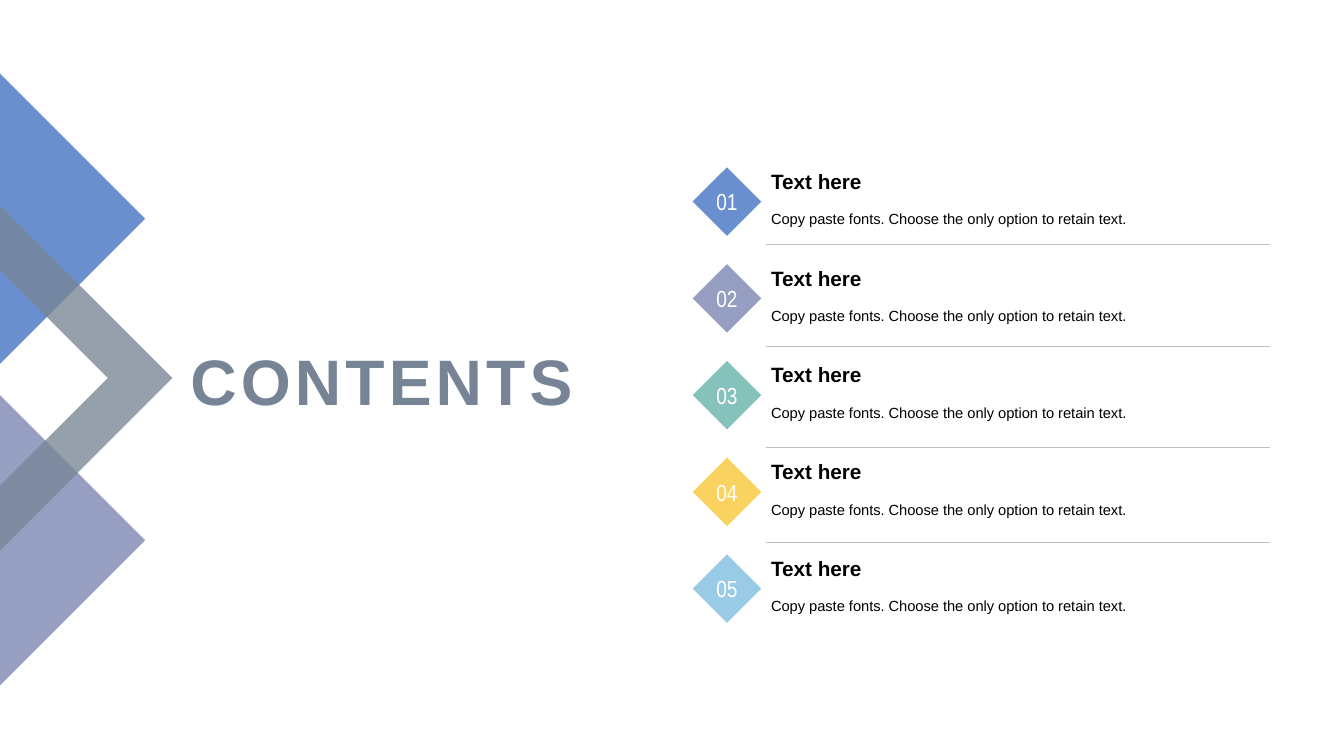
from lxml import etree
from pptx import Presentation
from pptx.dml.color import RGBColor
from pptx.enum.shapes import MSO_CONNECTOR, MSO_SHAPE
from pptx.enum.text import MSO_ANCHOR as ANCHOR, PP_ALIGN as ALIGN
from pptx.oxml.ns import qn
from pptx.util import Inches, Pt

BLUE = RGBColor(0x69, 0x8F, 0xCE)
PURPLE = RGBColor(0x96, 0x9E, 0xC2)
TEAL = RGBColor(0x85, 0xC2, 0xBC)
YELLOW = RGBColor(0xFA, 0xD2, 0x5F)
SKY = RGBColor(0x99, 0xCA, 0xE6)
SLATE = RGBColor(0x77, 0x84, 0x95)
RULE = RGBColor(0xBF, 0xBF, 0xBF)
BLACK = RGBColor(0, 0, 0)
WHITE = RGBColor(0xFF, 0xFF, 0xFF)

prs = Presentation()
prs.slide_width, prs.slide_height = Inches(13.33), Inches(7.5)
s = prs.slides.add_slide(prs.slide_layouts[6])


def paint(sp, color):
    sp.fill.solid()
    sp.fill.fore_color.rgb = color
    sp.line.fill.background()
    sp.shadow.inherit = False


def write(sp, text, size, color, font="Arial", bold=False,
          align=ALIGN.LEFT, anchor=ANCHOR.MIDDLE, wrap=True):
    tf = sp.text_frame
    tf.word_wrap = wrap
    tf.vertical_anchor = anchor
    p = tf.paragraphs[0]
    p.alignment = align
    r = p.add_run()
    r.text = text
    r.font.size, r.font.name, r.font.bold = Pt(size), font, bold
    r.font.color.rgb = color
    return p, r


# Triangles and chevron at the left edge
decorations = [
    (PURPLE, [(0, 6.8), (0, 3.92), (1.44, 5.36)]),
    (BLUE, [(0, 0.73), (1.44, 2.17), (0, 3.61)]),
    (SLATE, [(1.71, 3.75), (0, 5.46), (0, 4.82),
             (1.07, 3.75), (0, 2.68), (0, 2.04)]),
]
for color, points in decorations:
    start, *rest = [(Inches(x), Inches(y)) for x, y in points]
    builder = s.shapes.build_freeform(*start)
    builder.add_line_segments(rest, close=True)
    sp = builder.convert_to_shape()
    paint(sp, color)

# The chevron, drawn last, is see-through
chevron_color = sp.fill._xPr.find(qn("a:solidFill"))[0]
etree.SubElement(chevron_color, qn("a:alpha")).set("val", "77000")

# Heading
heading = s.shapes.add_textbox(Inches(1.69), Inches(3.26), Inches(4.09), Inches(1.01))
p, r = write(heading, "CONTENTS", 45.9, SLATE, bold=True, align=ALIGN.RIGHT)
r.font._element.set("spc", "300")

# Numbered entries
for i, color in enumerate([BLUE, PURPLE, TEAL, YELLOW, SKY]):
    top = 1.66 + 0.96 * i
    diamond = s.shapes.add_shape(MSO_SHAPE.DIAMOND, Inches(6.87), Inches(top),
                                 Inches(0.68), Inches(0.68))
    paint(diamond, color)
    write(diamond, f"{i + 1:02}", 16.6, WHITE, font="Arial Narrow",
          align=ALIGN.CENTER, wrap=False)

    title = s.shapes.add_textbox(Inches(7.55), Inches(top - 0.02),
                                 Inches(4.33), Inches(0.33))
    write(title, "Text here", 14.8, BLACK, bold=True, anchor=ANCHOR.BOTTOM)

    body = s.shapes.add_textbox(Inches(7.55), Inches(top + 0.32),
                                Inches(4.33), Inches(0.35))
    p, r = write(body, "Copy paste fonts. Choose the only option to retain text.",
                 10.5, BLACK)
    p.line_spacing = 1.2

# Dividing lines
for y in (2.42, 3.43, 4.44, 5.38):
    divider = s.shapes.add_connector(MSO_CONNECTOR.STRAIGHT, Inches(7.6), Inches(y),
                                     Inches(12.6), Inches(y))
    divider.line.color.rgb = RULE
    divider.line.width = Pt(0.25)
    etree.SubElement(divider._element.spPr, qn("a:effectLst"))

prs.save("out.pptx")
